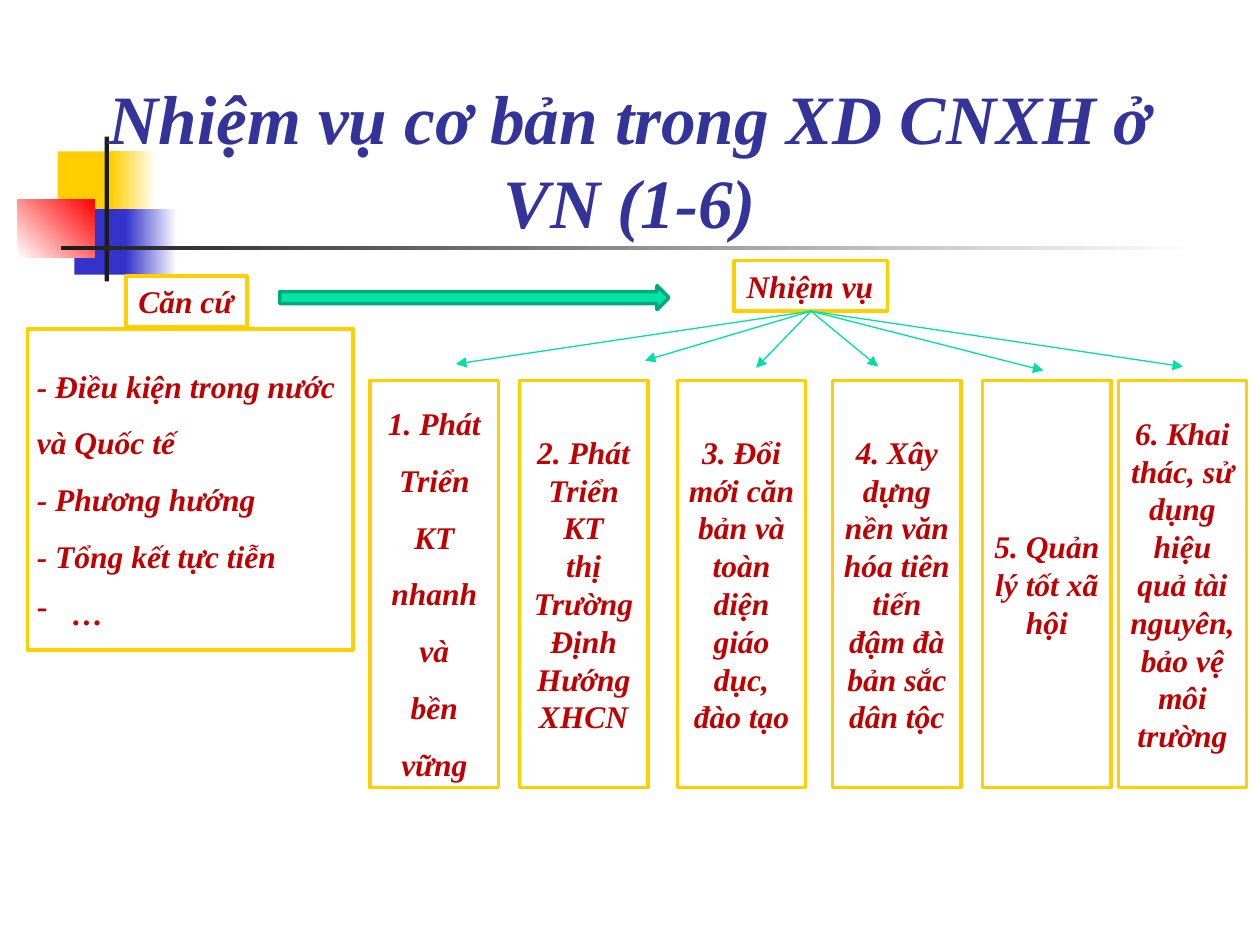
"""Build the slide on the basic tasks of building socialism in Vietnam."""
from lxml import etree
from pptx import Presentation
from pptx.dml.color import RGBColor
from pptx.enum import shapes, text
from pptx.oxml import ns
from pptx.util import Pt

FONT = "Times New Roman"
COLORS = {
    "white": "FFFFFF", "gold": "FFCF01", "blue": "3333CC", "red": "FF0000",
    "black": "1C1C1C", "title": "333399", "text": "C00000",
    "arrow": "00E4A8", "arrow_edge": "00A97C", "connector": "00DFA4",
}
TITLE = "Nhiệm vụ cơ bản trong XD CNXH ở VN (1-6)"
DECORATIONS = [
    ((33, 86.5, 34.5, 37.5), ("gold",), 0),
    ((63.5, 86.5, 26, 37.5), ("gold", "white"), 0),
    ((42.5, 119.5, 33, 37.5), ("blue",), 0),
    ((72, 119.5, 29, 37.5), ("blue", "white"), 0),
    ((10, 113.8, 44, 33.4), ("white", "red"), 45),
    ((59.8, 78, 2.4, 82.8), ("black",), 0),
    ((34.6, 140.3, 648, 2.4), ("black", "white"), 0),
]
BASIS_LABEL = ("Căn cứ", (72, 157.7, 69.1, 28.8))
TASKS_LABEL = ("Nhiệm vụ", (419.5, 149, 87.8, 28.8))
BASIS = ["- Điều kiện trong nước và Quốc tế", "- Phương hướng", "- Tổng kết tực tiễn"]
BASIS_BULLET = "…"
TASKS = [
    (211.5, (260.6, 208), 1.5, ["1. Phát", "Triển", "KT", "nhanh", "và", "bền", "vững"]),
    (296.8, (368.6, 206), 1, ["2. Phát", "Triển", "KT", "thị", "Trường", "Định", "Hướng", "XHCN"]),
    (387, (432, 210.2), 1, ["3. Đổi mới căn bản và toàn diện giáo dục, đào tạo"]),
    (475.8, (501.8, 209.5), 1, ["4. Xây dựng nền văn hóa tiên tiến đậm đà bản sắc dân tộc"]),
    (561.5, (596.2, 211.7), 1, ["5. Quản lý tốt xã hội"]),
    (639, (676, 209.5), 1, ["6. Khai thác, sử dụng hiệu quả tài nguyên, bảo vệ môi trường"]),
]
TASK_TOP, TASK_WIDTH, TASK_HEIGHT = 217.4, 73.4, 232.6


def color(name):
    return RGBColor.from_string(COLORS[name])


def add_box(slide, box, fill, line=None, kind=shapes.MSO_SHAPE.RECTANGLE):
    shape = slide.shapes.add_shape(kind, *map(Pt, box))
    shape.shadow.inherit = False
    shape.fill.solid()
    shape.fill.fore_color.rgb = color(fill)
    if line:
        shape.line.color.rgb = color(line)
        shape.line.width = Pt(2)
    else:
        shape.line.fill.background()
    return shape


def format_text(frame, size, name, align, spacing=1):
    for paragraph in frame.paragraphs:
        paragraph.alignment = align
        paragraph.line_spacing = spacing
        for run in paragraph.runs:
            font = run.font
            font.name, font.size, font.bold, font.italic = FONT, Pt(size), True, True
            font.color.rgb = color(name)


def add_text_box(slide, box, lines, align=text.PP_ALIGN.LEFT, spacing=1):
    shape = add_box(slide, box, "white", "gold")
    frame = shape.text_frame
    frame.text = "\n".join(lines)
    frame.word_wrap = True
    frame.vertical_anchor = text.MSO_ANCHOR.MIDDLE
    frame.margin_left = frame.margin_right = Pt(5.3)
    frame.margin_top = frame.margin_bottom = Pt(2.7)
    format_text(frame, 18, "text", align, spacing)
    return shape


def add_label(slide, label, box):
    shape = add_text_box(slide, box, [label])
    frame = shape.text_frame
    frame.word_wrap = False
    frame.auto_size = text.MSO_AUTO_SIZE.SHAPE_TO_FIT_TEXT
    frame.vertical_anchor = text.MSO_ANCHOR.TOP
    frame.margin_left = frame.margin_right = Pt(7.2)
    frame.margin_top = frame.margin_bottom = Pt(3.6)
    return shape


def add_dash_bullet(paragraph):
    properties = paragraph._p.get_or_add_pPr()
    properties.set("marL", str(Pt(20)))
    properties.set("indent", str(-Pt(20)))
    etree.SubElement(properties, ns.qn("a:buFontTx"))
    etree.SubElement(properties, ns.qn("a:buChar")).set("char", "-")


def add_arrow(slide, source, tip):
    x, y = map(Pt, tip)
    connector = slide.shapes.add_connector(shapes.MSO_CONNECTOR.STRAIGHT, x, y, x, y)
    connector.begin_connect(source, 2)
    connector.line.color.rgb = color("connector")
    connector.line.width = Pt(0.75)
    line = connector.line._get_or_add_ln()
    etree.SubElement(line, ns.qn("a:tailEnd")).set("type", "triangle")
    etree.SubElement(connector._element.spPr, ns.qn("a:effectLst"))


def add_decoration(slide, box, names, angle):
    shape = add_box(slide, box, names[0])
    if len(names) > 1:
        shape.fill.gradient()
        shape.fill.gradient_angle = angle
        for stop, name in zip(shape.fill.gradient_stops, names):
            stop.color.rgb = color(name)


def add_title(slide):
    title = slide.shapes.title
    title.left, title.top, title.width, title.height = map(Pt, (49.7, 89.3, 620.6, 52.6))
    frame = title.text_frame
    frame.text = TITLE
    frame.word_wrap = True
    frame.auto_size = text.MSO_AUTO_SIZE.NONE
    frame.vertical_anchor = text.MSO_ANCHOR.BOTTOM
    format_text(frame, 39.6, "title", text.PP_ALIGN.CENTER)
    slide.shapes._spTree.append(title._element)


def main():
    presentation = Presentation()
    presentation.slide_width, presentation.slide_height = Pt(720), Pt(540)
    slide = presentation.slides.add_slide(presentation.slide_layouts[5])
    for decoration in DECORATIONS:
        add_decoration(slide, *decoration)
    add_title(slide)

    basis = add_text_box(slide, (15.8, 188, 185.8, 183.6), BASIS + [BASIS_BULLET], spacing=1.5)
    add_dash_bullet(basis.text_frame.paragraphs[-1])
    add_label(slide, *BASIS_LABEL)
    add_box(slide, (159.8, 163.2, 222.5, 13.7), "arrow", "arrow_edge",
            shapes.MSO_SHAPE.RIGHT_ARROW)
    tasks_label = add_label(slide, *TASKS_LABEL)

    for left, tip, spacing, lines in TASKS:
        box = (left, TASK_TOP, TASK_WIDTH, TASK_HEIGHT)
        add_text_box(slide, box, lines, text.PP_ALIGN.CENTER, spacing)
        add_arrow(slide, tasks_label, tip)
    presentation.save("out.pptx")


if __name__ == "__main__":
    main()
